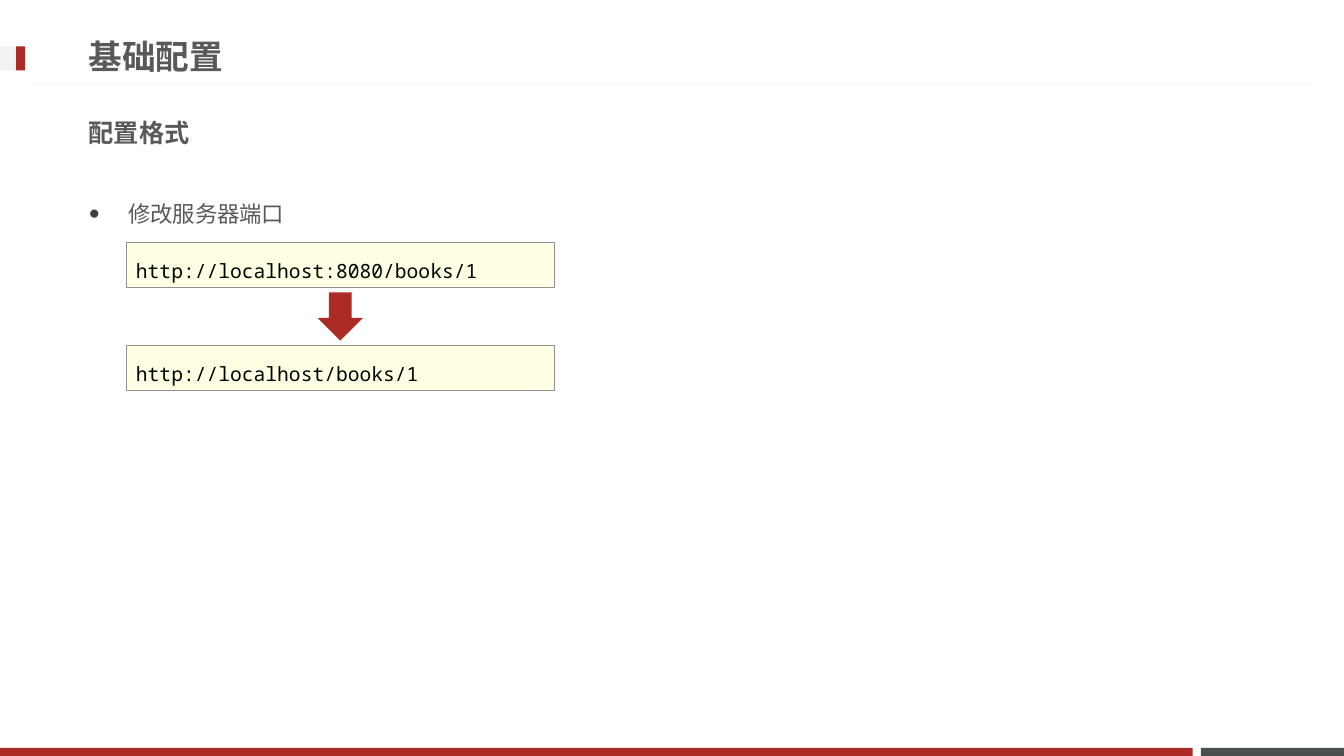
from lxml.etree import SubElement
from pptx import Presentation
from pptx.dml.color import RGBColor
from pptx.enum.shapes import MSO_CONNECTOR, MSO_SHAPE
from pptx.enum.text import MSO_ANCHOR, MSO_AUTO_SIZE, PP_ALIGN
from pptx.oxml.ns import qn
from pptx.util import Inches, Pt

FONT = "Noto Sans Mono"
COLORS = {
    "red": "AD2B26", "slate": "49504F", "pale": "F2F2F2", "text": "595959",
    "bullet": "404040", "code_fill": "FFFFE4", "code_line": "919191", "code": "000000",
}

# Text, box (left, top, width, height), anchor, line spacing, font format
HEADINGS = [
    ("基础配置", (0.78, 0.27, 9.59, 0.57), MSO_ANCHOR.MIDDLE, 1.0, {"size": Pt(24), "bold": True}),
    ("配置格式", (0.78, 1.03, 11.76, 0.57), MSO_ANCHOR.MIDDLE, 1.0, {"size": Pt(18), "bold": True}),
    ("修改服务器端口", (0.78, 1.8, 11.76, 4.61), MSO_ANCHOR.TOP, 1.5, {"size": Pt(16), "bold": False}),
]
ADDRESSES = ["http://localhost:8080/books/1", "http://localhost/books/1"]
BARS = [
    ((11.91, 7.42, 1.42, 0.08), "slate"),
    ((0, 7.42, 11.83, 0.08), "red"),
    ((0, 0.46, 0.25, 0.24), "pale"),
    ((0.16, 0.46, 0.09, 0.24), "red"),
]
CODE_LEFT, CODE_TOP, CODE_WIDTH, CODE_HEIGHT, CODE_PITCH = 1.25, 2.4, 4.25, 0.45, 1.02
ARROW_TOP, ARROW_WIDTH, ARROW_HEIGHT = 2.9, 0.45, 0.48


def color(key):
    return RGBColor.from_string(COLORS[key])


def add_filled(slide, preset, box, fill):
    shape = slide.shapes.add_shape(preset, *map(Inches, box))
    shape.shadow.inherit = False
    shape.fill.solid()
    shape.fill.fore_color.rgb = color(fill)
    shape.line.fill.background()
    return shape


def set_bullet(paragraph, bulleted):
    props = paragraph._p.get_or_add_pPr()
    indent = Inches(0.39) if bulleted else 0
    props.set("marL", str(indent))
    props.set("indent", str(-indent))
    if not bulleted:
        SubElement(props, qn("a:buNone"))
        return
    SubElement(SubElement(props, qn("a:buClr")), qn("a:srgbClr"), val=COLORS["bullet"])
    SubElement(props, qn("a:buSzPct"), val="85000")
    SubElement(props, qn("a:buFont"), typeface="Arial")
    SubElement(props, qn("a:buChar"), char="●")


def write(frame, text, spacing, font_format, font_color, bulleted=False):
    frame.text = text
    paragraph = frame.paragraphs[0]
    set_bullet(paragraph, bulleted)
    paragraph.alignment = PP_ALIGN.LEFT
    paragraph.line_spacing = spacing
    paragraph.space_before = Pt(0)
    font = paragraph.runs[0].font
    for name, value in {"name": FONT, **font_format}.items():
        setattr(font, name, value)
    font.color.rgb = color(font_color)
    SubElement(font._element, qn("a:ea"), typeface=FONT)


def main():
    deck = Presentation()
    deck.slide_width, deck.slide_height = Inches(13.33), Inches(7.5)
    slide = deck.slides.add_slide(deck.slide_layouts[3])

    for box, fill in BARS:
        add_filled(slide, MSO_SHAPE.RECTANGLE, box, fill)
    title_rule = slide.shapes.add_connector(
        MSO_CONNECTOR.STRAIGHT, Inches(12.98), Inches(0.84), Inches(0.35), Inches(0.84))
    title_rule.line.color.rgb = color("pale")
    title_rule.line.width = Pt(0.75)
    SubElement(title_rule._element.spPr, qn("a:effectLst"))

    for holder, (text, box, anchor, spacing, font_format) in zip(slide.placeholders, HEADINGS):
        holder.left, holder.top, holder.width, holder.height = map(Inches, box)
        frame = holder.text_frame
        frame.auto_size = MSO_AUTO_SIZE.NONE
        frame.vertical_anchor = anchor
        write(frame, text, spacing, font_format, "text", bulleted=text == HEADINGS[-1][0])

    for row, address in enumerate(ADDRESSES):
        box = (CODE_LEFT, CODE_TOP + row * CODE_PITCH, CODE_WIDTH, CODE_HEIGHT)
        code_box = add_filled(slide, MSO_SHAPE.RECTANGLE, box, "code_fill")
        code_box.line.color.rgb = color("code_line")
        code_box.line.width = Pt(0.25)
        frame = code_box.text_frame
        frame.word_wrap = True
        frame.auto_size = MSO_AUTO_SIZE.SHAPE_TO_FIT_TEXT
        frame.vertical_anchor = MSO_ANCHOR.TOP
        write(frame, address, 1.5, {"size": Pt(14)}, "code")

    arrow_left = CODE_LEFT + (CODE_WIDTH - ARROW_WIDTH) / 2
    add_filled(slide, MSO_SHAPE.DOWN_ARROW,
               (arrow_left, ARROW_TOP, ARROW_WIDTH, ARROW_HEIGHT), "red")
    deck.save("out.pptx")


if __name__ == "__main__":
    main()
